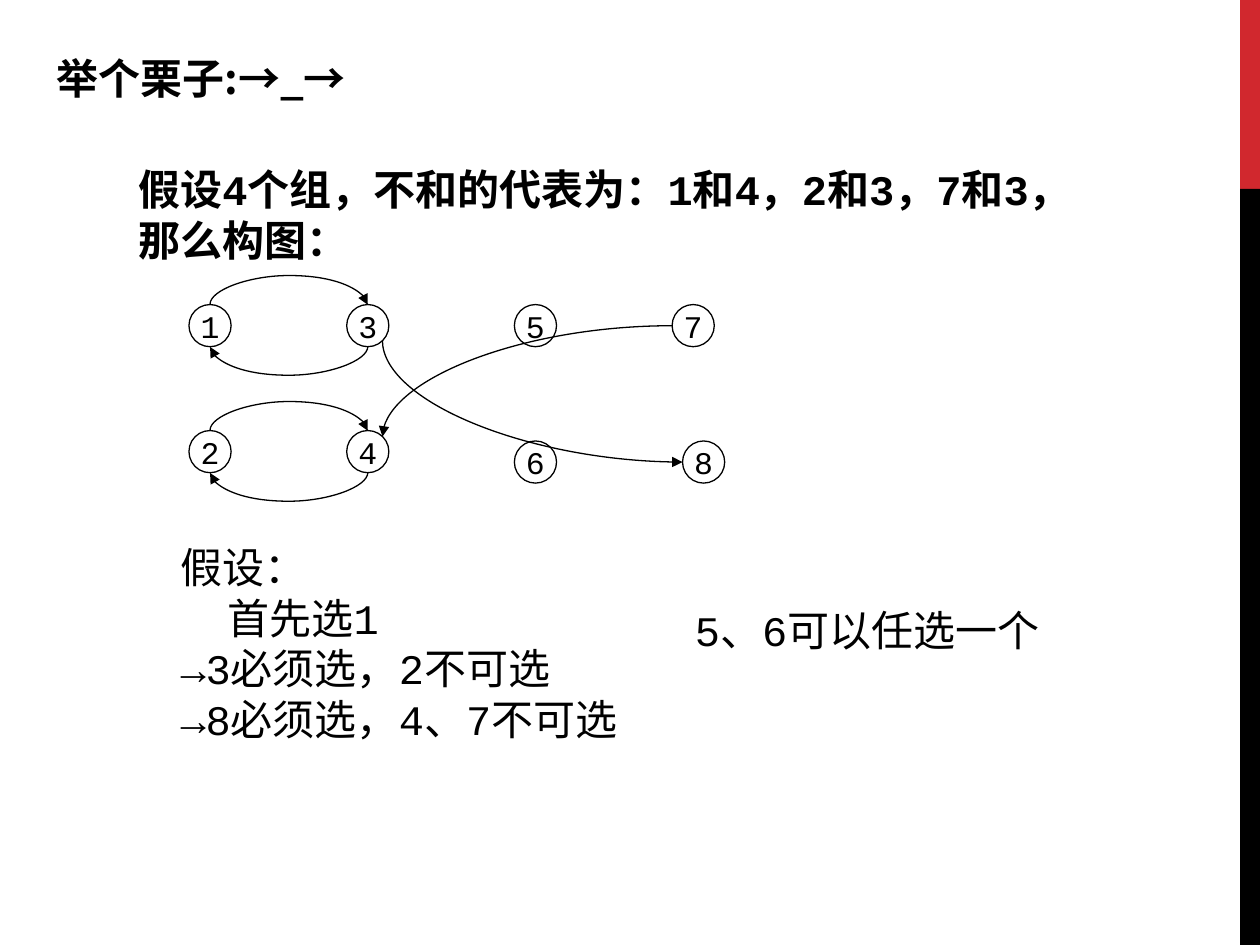
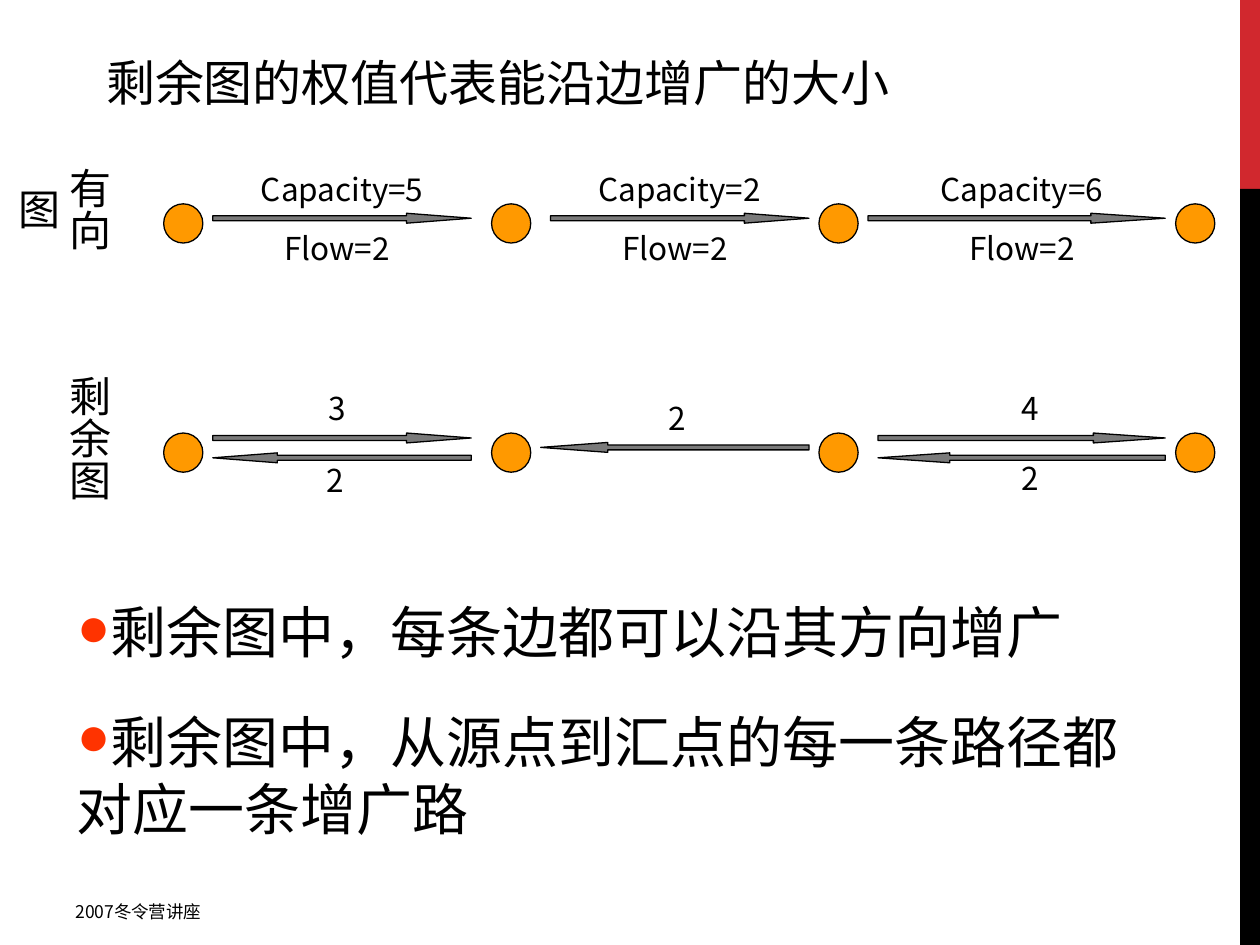
from lxml import etree
from pptx import Presentation
from pptx.dml.color import RGBColor
from pptx.enum.shapes import MSO_CONNECTOR, MSO_SHAPE
from pptx.enum.text import MSO_ANCHOR, PP_ALIGN
from pptx.oxml.ns import qn
from pptx.util import Cm, Pt

RECT, OVAL = MSO_SHAPE.RECTANGLE, MSO_SHAPE.OVAL
VERTEX = MSO_SHAPE.FLOWCHART_CONNECTOR
RIGHT, LEFT = MSO_SHAPE.RIGHT_ARROW, MSO_SHAPE.LEFT_ARROW
CURVE = MSO_CONNECTOR.CURVE
CENTER, MIDDLE = PP_ALIGN.CENTER, MSO_ANCHOR.MIDDLE

COLORS = {"text": "000000", "red": "D1282E", "black": "000000",
          "vertex": "FF9900", "arrow": "7A7A7A", "bullet": "FF3300"}
SANS, MONO = "Noto Sans CJK SC", "Courier New"
NODE = 0.85
VERTEX_SIZE = 0.79
ARROW_H = 0.2
LOOP_DEPTH = 0.58
THIN = 0.01


def rgb(name):
    return RGBColor.from_string(COLORS[name])


class Deck:
    def __init__(self):
        self.prs = Presentation()
        self.prs.slide_width, self.prs.slide_height = Cm(25.4), Cm(19.05)
        self.s = None

    def slide(self):
        """Start a slide with the red and black band on its right edge."""
        self.s = self.prs.slides.add_slide(self.prs.slide_layouts[6])
        self.shape(RECT, 25, 0, 0.4, 3.81, "red", line=False)
        self.shape(RECT, 25, 3.81, 0.4, 15.24, "black", line=False)

    def shape(self, kind, x, y, w, h, fill=None, line=True):
        sp = self.s.shapes.add_shape(kind, Cm(x), Cm(y), Cm(w), Cm(h))
        sp.shadow.inherit = False
        if fill:
            sp.fill.solid()
            sp.fill.fore_color.rgb = rgb(fill)
        else:
            sp.fill.background()
        if line:
            sp.line.color.rgb = rgb("black")
            sp.line.width = Pt(0.75)
        else:
            sp.line.fill.background()
        return sp

    def style(self, p, size, font=SANS, bold=False, align=None):
        p.font.size, p.font.name, p.font.bold = Pt(size), font, bold
        p.font.color.rgb = rgb("text")
        if align is not None:
            p.alignment = align
        props = p._p.get_or_add_pPr().find(qn("a:defRPr"))
        etree.SubElement(props, qn("a:ea"), typeface=SANS)

    def text(self, x, y, w, h, lines, size, font=SANS, bold=False,
             align=None, wrap=True):
        tf = self.s.shapes.add_textbox(Cm(x), Cm(y), Cm(w), Cm(h)).text_frame
        tf.word_wrap = wrap
        tf.text = lines
        for p in tf.paragraphs:
            self.style(p, size, font, bold, align)
        return tf

    def label(self, cx, y, words):
        self.text(cx - 2.2, y, 4.4, 1.02, words, 18, align=CENTER)

    def vertical(self, x, y, w, h, words):
        tf = self.text(x, y, w, h, words, 24, align=CENTER)
        tf._txBody.bodyPr.set("vert", "eaVert")

    def bullet(self, x, y, w, h, words):
        tf = self.text(x, y, w, h, words, 32)
        props = tf.paragraphs[0]._p.get_or_add_pPr()
        color = etree.Element(qn("a:buClr"))
        etree.SubElement(color, qn("a:srgbClr"), val=COLORS["bullet"])
        props.insert(0, color)
        props.insert(1, etree.Element(qn("a:buFont"), typeface=MONO))
        props.insert(2, etree.Element(qn("a:buChar"), char="●"))

    def node(self, x, y, number):
        tf = self.shape(OVAL, x, y, NODE, NODE).text_frame
        tf.word_wrap, tf.vertical_anchor = False, MIDDLE
        tf.text = number
        self.style(tf.paragraphs[0], 18, MONO, align=CENTER)

    def curve(self, start, end, turn, flip="", bend=None):
        """Curved arrow; bend is its bulge in cm, None for a quarter curve."""
        (x1, y1), (x2, y2) = start, end
        w, h = max(abs(x2 - x1), THIN), max(abs(y2 - y1), THIN)
        if turn % 180:
            w, h = h, w
        left, top = (x1 + x2 - w) / 2, (y1 + y2 - h) / 2
        xs, ys = [left, left + w], [top, top + h]
        if flip == "h":
            xs.reverse()
        if flip == "v":
            ys.reverse()
        c = self.s.shapes.add_connector(CURVE, Cm(xs[0]), Cm(ys[0]),
                                        Cm(xs[1]), Cm(ys[1]))
        c.line.color.rgb = rgb("black")
        c.line.width = Pt(0.75)
        props = c._element.spPr
        props.find(qn("a:xfrm")).set("rot", str(turn * 60000))
        geom = props.find(qn("a:prstGeom"))
        if bend is None:
            geom.set("prst", "curvedConnector2")
        else:
            etree.SubElement(geom.find(qn("a:avLst")), qn("a:gd"), name="adj1",
                             fmla=f"val {round(bend / w * 100000)}")
        etree.SubElement(props.find(qn("a:ln")), qn("a:tailEnd"),
                         type="triangle")
        etree.SubElement(props, qn("a:effectLst"))

    def arrow(self, kind, x, y, w):
        """Slim block arrow whose head takes a quarter of its length."""
        sp = self.shape(kind, x, y, w, ARROW_H, "arrow")
        sp.adjustments[1] = w / ARROW_H / 4


def example_slide(d):
    d.slide()
    d.text(2.54, 3.18, 19.89, 2.74,
           "假设4个组，不和的代表为：1和4，2和3，7和3，那么构图：", 24, MONO, True)
    x1, x3, top, bottom = 3.81, 6.99, 6.14, 8.68
    nodes = {"1": (x1, top), "3": (x3, top), "2": (x1, bottom),
             "4": (x3, bottom), "5": (10.37, top), "6": (10.37, 8.89),
             "7": (13.55, top), "8": (13.76, 8.89)}
    for number, (x, y) in nodes.items():
        d.node(x, y, number)
    half = NODE / 2
    for y in (top, bottom):
        d.curve((x1 + half, y), (x3 + half, y), 90, "v", -LOOP_DEPTH)
        d.curve((x3 + half, y + NODE), (x1 + half, y + NODE), 90,
                bend=LOOP_DEPTH)
    d.curve((13.55, top + half), (7.71, 8.8), 180, "v")
    d.curve((7.71, 6.86), (13.76, 8.89 + half), 270, "h")
    tf = d.text(3.39, 10.8, 9.5, 4.32,
                "假设：\n首先选1\n→3必须选，2不可选\n→8必须选，4、7不可选", 24, MONO)
    tf.paragraphs[1]._p.get_or_add_pPr().set("indent", str(Cm(0.95)))
    d.text(13.76, 12.07, 7.62, 1.27, "5、6可以任选一个", 24, MONO)
    d.text(0.89, 0.93, 8.79, 2.31, "举个栗子:→_→", 24, bold=True)


def residual_slide(d):
    d.slide()
    d.text(1.27, 18.03, 9.53, 0.79, "2007冬令营讲座", 10)
    d.text(1.89, 0.94, 16.31, 1.45, "剩余图的权值代表能沿边增广的大小", 28,
           wrap=False)
    for y in (4.11, 8.73):
        for x in (3.3, 9.91, 16.51, 23.7):
            d.shape(VERTEX, x, y, VERTEX_SIZE, VERTEX_SIZE, "vertex")

    d.vertical(0.87, 3.12, 1.55, 3, "有向图")
    edges = [(4.29, 5.21, 6.9, 6.79, 5), (11.1, 5.21, 13.7, 13.61, 2),
             (17.5, 5.99, 20.6, 20.6, 6)]
    for x, w, capacity_x, flow_x, capacity in edges:
        d.arrow(RIGHT, x, 4.3, w)
        d.label(capacity_x, 3.3, f"Capacity={capacity}")
        d.label(flow_x, 4.5, "Flow=2")

    d.vertical(0.87, 7.32, 1.55, 3.4, "剩余图")
    for x, w in ((4.29, 5.21), (17.7, 5.79)):
        d.arrow(RIGHT, x, 8.73, w)
        d.arrow(LEFT, x, 9.13, w)
    d.arrow(LEFT, 10.9, 8.92, 5.41)
    for cx, y, words in ((6.8, 7.72, "3"), (6.76, 9.17, "2"),
                         (13.66, 7.92, "2"), (20.77, 7.72, "4"),
                         (20.77, 9.12, "2")):
        d.label(cx, y, words)

    for y, words in ((11.93, "剩余图中，每条边都可以沿其方向增广"),
                     (14.13, "剩余图中，从源点到汇点的每一条路径都对应一条增广路")):
        d.bullet(1.3, y, 22, 2.97, words)


def main():
    d = Deck()
    example_slide(d)
    residual_slide(d)
    d.prs.save("out.pptx")


if __name__ == "__main__":
    main()
